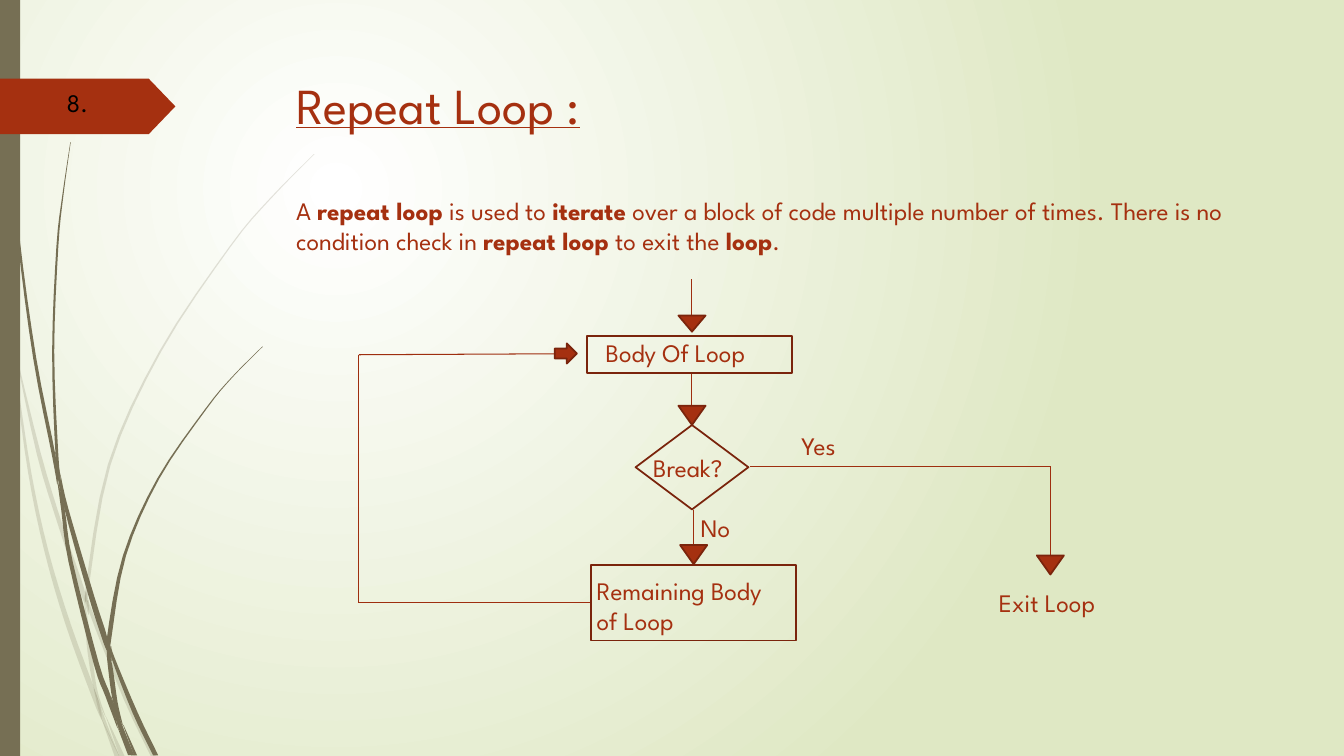
from typing import NamedTuple
from pptx import Presentation
from pptx.dml.color import RGBColor
from pptx.enum.shapes import MSO_CONNECTOR as Connector, MSO_SHAPE as Preset
from pptx.oxml.ns import qn
from pptx.util import Pt
from lxml.etree import SubElement

class Theme(NamedTuple):
    font: str = "League Spartan"
    accent: str = "A53010"
    outline: str = "7A240C"
    link: str = "9E2E0F"
    grass: str = "766F54"
    number: str = "000000"
    glow: str = "FFFFFF"
    edge: str = "DFE8C4"
    title_size: float = 36
    body_size: float = 18
    outline_width: float = 1.25
    link_width: float = 0.75

class Box(NamedTuple):
    left: float
    top: float
    width: float
    height: float

    def inner(self, left, top, width, height):
        return Box(self.left + left, self.top + top, width, height)

    def in_points(self):
        return [Pt(length) for length in self]

theme = Theme()

# Stations along each strip of grass: centre x, y, width
PALE_STRIPS = [
    [(0.2, 209, 0.5), (4, 230, 1.5), (7.8, 252, 0.5)],
    [(10.3, 248, 0.3), (27.7, 324, 3), (43.4, 376, 3.2), (58.5, 421, 3.6), (60.6, 431, 0.4)],
    [(63.4, 429, 0.3), (64.8, 437, 2.5), (90.4, 500, 3.6), (109.8, 540.7, 3.6)],
    [(75.7, 512, 0.2), (87.5, 540.7, 3.6)],
    [(8, 252, 0.3), (11.5, 271, 1.2), (21.3, 338, 2.3), (33, 393, 2.9), (48.7, 446, 3.8),
     (68, 499, 3.8), (72.6, 514, 0.3)],
    [(60.5, 431, 0.3), (62, 445, 2.3), (64, 465, 3), (68.2, 492, 2.2), (75.4, 512, 0.3)],
    [(224.5, 110, 0.4), (193, 142, 1), (164.5, 176, 1), (114.5, 251, 1.5), (78, 332, 2),
     (62.3, 420, 2.2), (63.2, 429, 0.4)],
    [(72.8, 514, 0.2), (83.8, 540.7, 3.6)],
    [(61.2, 422, 0.3), (62, 430, 2.6), (63.3, 439, 0.3)],
    [(67.1, 492, 0.3), (72.5, 510, 2.5), (79, 526, 1.5), (85.5, 540.7, 0.3)],
]
DARK_STRIPS = [
    [(2.5, 0, 0.7), (5.4, 79, 0.7), (13, 168, 1.5), (24.8, 256, 2.2), (38.5, 326, 2.5), (41, 346, 0.4)],
    [(43.3, 340, 0.3), (47.6, 364, 2.8), (65.2, 425.5, 4), (74.5, 455, 4), (76.2, 464.5, 0.3)],
    [(79.3, 461.5, 0.3), (80.8, 470, 2.3), (96.5, 509, 3.7), (111.2, 539.5, 3.7)],
    [(41.1, 343.5, 0.3), (45, 364, 2.5), (50.4, 401, 3), (68.8, 474, 3.8), (77.3, 497.5, 3.8),
     (84, 520, 0.3)],
    [(50.4, 101.5, 0.3), (45, 139, 0.8), (41, 176, 1.4), (38, 251, 1.5), (40.7, 325, 2), (43.2, 340, 0.3)],
    [(88, 517.7, 0.3), (96.8, 539.5, 2.2)],
    [(39.7, 323, 0.3), (42.2, 341, 2), (46, 364, 0.3)],
    [(187.5, 247.7, 0.5), (166.3, 269, 0.7), (147.2, 292, 1), (113, 342, 1.5), (88.9, 397, 2.2),
     (78.1, 455, 3.2), (79.3, 461.5, 0.3)],
    [(84.3, 520, 0.2), (93, 539.5, 2.9)],
    [(76.4, 464.5, 0.3), (78.6, 475, 3.2), (82.3, 501, 3.2), (87.6, 517.7, 0.3)],
    [(76.4, 454.5, 0.3), (77.7, 464, 2.8), (79.7, 472, 0.3)],
    [(79.3, 497.5, 0.3), (86, 519, 3.5), (94.8, 539.5, 2.2)],
]

def rgb(value):
    return RGBColor.from_string(value)

def style_shape(shape, fill=None, line=None):
    shape.shadow.inherit = False
    for part, color in ((shape.fill, fill), (shape.line.fill, line)):
        if color:
            part.solid()
            part.fore_color.rgb = rgb(color)
        else:
            part.background()
    if line:
        shape.line.width = Pt(theme.outline_width)

def add_preset(slide, preset, box, fill=None, line=None):
    shape = slide.shapes.add_shape(preset, *box.in_points())
    style_shape(shape, fill, line)
    return shape

def add_run(paragraph, text, size=theme.body_size, color=theme.accent, bold=False):
    run = paragraph.add_run()
    run.text = text
    run.font.name, run.font.size, run.font.bold = theme.font, Pt(size), bold
    run.font.color.rgb = rgb(color)
    return run

def add_text_frame(slide, box):
    frame = slide.shapes.add_textbox(*box.in_points()).text_frame
    frame.word_wrap = True
    return frame

def add_label(slide, box, text, color=theme.accent):
    add_run(add_text_frame(slide, box).paragraphs[0], text, color=color)

def add_link(slide, box, start, end):
    points = [Pt(length) for x, y in (start, end) for length in (box.left + x, box.top + y)]
    link = slide.shapes.add_connector(Connector.STRAIGHT, *points)
    link.line.color.rgb = rgb(theme.link)
    link.line.width = Pt(theme.link_width)
    SubElement(link._element.spPr, qn("a:effectLst"))

def smooth(stations, steps=4):
    """Run a Catmull-Rom curve through the stations."""
    padded = [stations[0], *stations, stations[-1]]
    return [[b + t / 2 * (c - a + t * (2 * a - 5 * b + 4 * c - d + t * (3 * (b - c) + d - a)))
             for a, b, c, d in zip(*group)]
            for group in zip(padded, padded[1:], padded[2:], padded[3:])
            for t in (step / steps for step in range(steps))] + [stations[-1]]

def add_strip(slide, box, stations, opacity):
    curve = smooth(stations)
    edges = [(x - width / 2, y) for x, y, width in curve]
    edges += [(x + width / 2, y) for x, y, width in reversed(curve)]
    points = [(Pt(box.left + x), Pt(box.top + y)) for x, y in edges]
    builder = slide.shapes.build_freeform(*points[0])
    builder.add_line_segments(points[1:])
    strip = builder.convert_to_shape()
    style_shape(strip, theme.grass)
    if opacity < 100:
        color = strip._element.spPr.find(".//" + qn("a:srgbClr"))
        SubElement(color, qn("a:alpha"), val=str(opacity * 1000))

def paint_background(slide):
    fill = slide.background.fill
    fill.gradient()
    for stop, color in zip(fill.gradient_stops, (theme.glow, theme.edge)):
        stop.color.rgb = rgb(color)
    gradient = slide.element.find(".//" + qn("a:gradFill"))
    gradient.remove(gradient.find(qn("a:lin")))
    radial = SubElement(gradient, qn("a:path"))
    radial.set("path", "circle")
    SubElement(radial, qn("a:fillToRect"), l="50000", t="50000", r="100000", b="100000")

def draw_margin(slide, box):
    # Grass, side bar and numbered tag
    for strips, opacity in ((PALE_STRIPS, 20), (DARK_STRIPS, 100)):
        for stations in strips:
            add_strip(slide, box, stations, opacity)
    add_preset(slide, Preset.RECTANGLE, box.inner(0, 0, 14.4, box.height), theme.grass)
    tag = add_preset(slide, Preset.PENTAGON, box.inner(0, 56.2, 125.3, 39.6), theme.accent)
    tag.adjustments[0] = 0.48
    add_label(slide, box.inner(40.5, 59, 79.2, 28.8), "8.", theme.number)

def draw_heading(slide, box):
    # Underlined title over the explanation
    frame = add_text_frame(slide, box)
    add_run(frame.paragraphs[0], "Repeat Loop :", theme.title_size).font.underline = True
    explanation = frame.add_paragraph()
    explanation.space_before = Pt(43)
    pieces = ["A\u00a0", "repeat loop", "\u00a0is used to\u00a0", "iterate",
              "\u00a0over a block of code multiple number of times. There is no condition check in\u00a0",
              "repeat loop", "\u00a0to exit the\u00a0", "loop", "."]
    for index, piece in enumerate(pieces):
        add_run(explanation, piece, bold=index % 2 == 1)

def draw_flowchart(slide, box):
    # Links: down the middle, way back, way out
    for start, end in [((238, 0.6), (238, 30.9)), ((238, 67.6), (238, 91.2)), ((239.2, 165.5), (239.2, 195)),
                       ((165.6, 231.6), (0, 231.6)), ((0, 231.6), (0, 54.6)), ((0, 54.6), (146.2, 53.9)),
                       ((279.4, 134.4), (494, 134.4)), ((494, 134.4), (494, 208.7))]:
        add_link(slide, box, start, end)
    # Arrowheads
    for center, top, height in [(238, 26.6, 11.5), (238, 91, 13.7), (239.2, 190.5, 13.7), (494, 197.9, 13.7)]:
        add_preset(slide, Preset.FLOWCHART_MERGE, box.inner(center - 9.7, top, 19.4, height),
                   theme.accent, theme.outline)
    add_preset(slide, Preset.RIGHT_ARROW, box.inner(140, 46.5, 15.8, 14.4), theme.accent, theme.outline)
    # Steps
    for preset, place in [(Preset.RECTANGLE, (163, 41.2, 146.2, 26.6)),
                          (Preset.DIAMOND, (197.7, 104.8, 80.6, 60.3)),
                          (Preset.RECTANGLE, (165.9, 204.7, 146.2, 54))]:
        add_preset(slide, preset, box.inner(*place), line=theme.outline)
    # Wording
    for text, place in [("Body Of Loop", (169.3, 38.8, 139.7, 28.8)), ("Break?", (203.2, 120.9, 80.6, 28.8)),
                        ("Remaining Body of Loop", (162.8, 208.7, 149.8, 51)),
                        ("No", (237.1, 163.4, 51.8, 28.8)), ("Yes", (309, 105, 90, 28.8)),
                        ("Exit Loop", (450.2, 217.4, 124.6, 28.8))]:
        add_label(slide, box.inner(*place), text)

presentation = Presentation()
presentation.slide_width, presentation.slide_height = Pt(960), Pt(540)
slide = presentation.slides.add_slide(presentation.slide_layouts[6])
paint_background(slide)
draw_margin(slide, Box(0, 0, 230, 540))
draw_heading(slide, Box(204.5, 49.5, 702, 490.5))
draw_flowchart(slide, Box(256.3, 198.8, 575, 260))
presentation.save("out.pptx")
